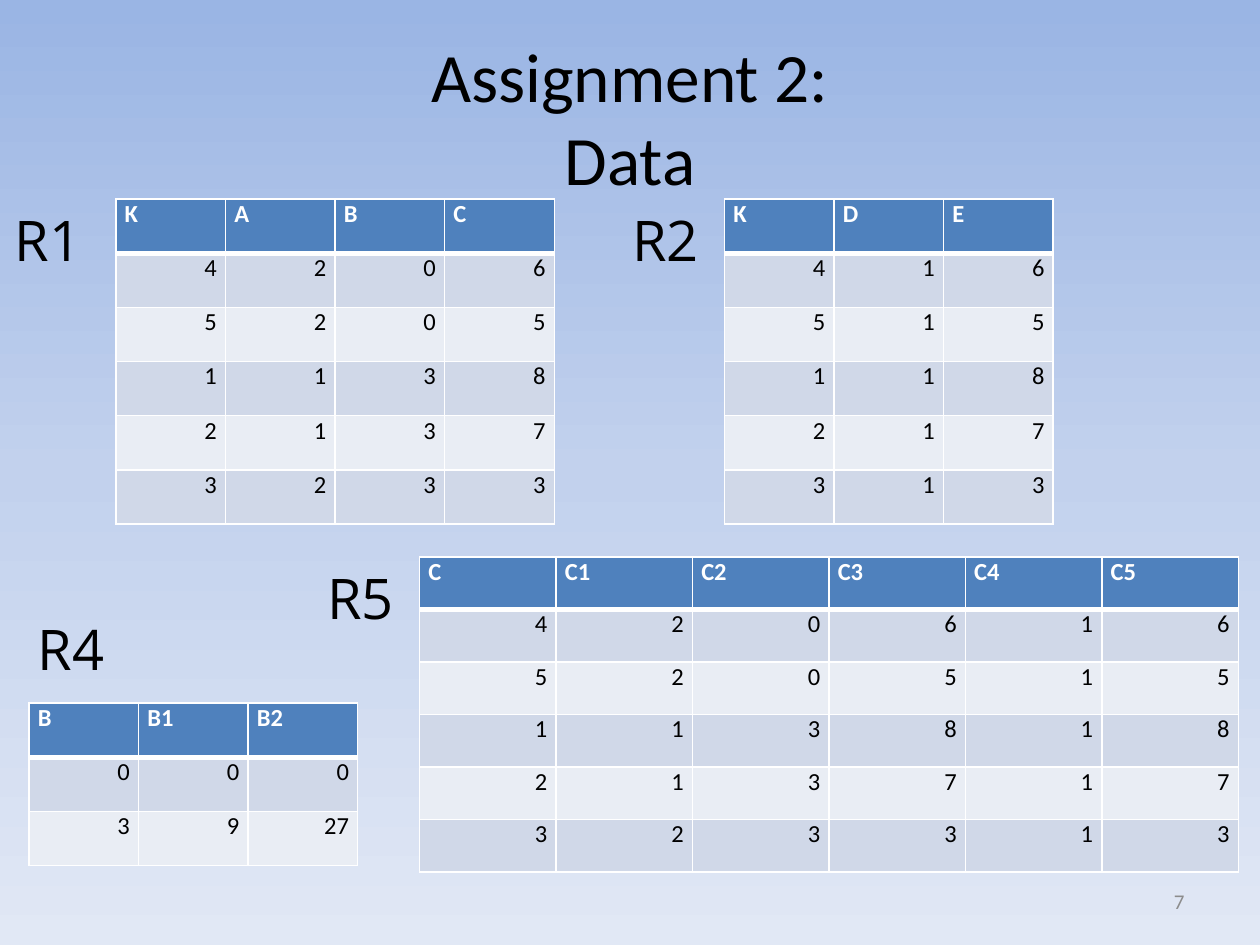
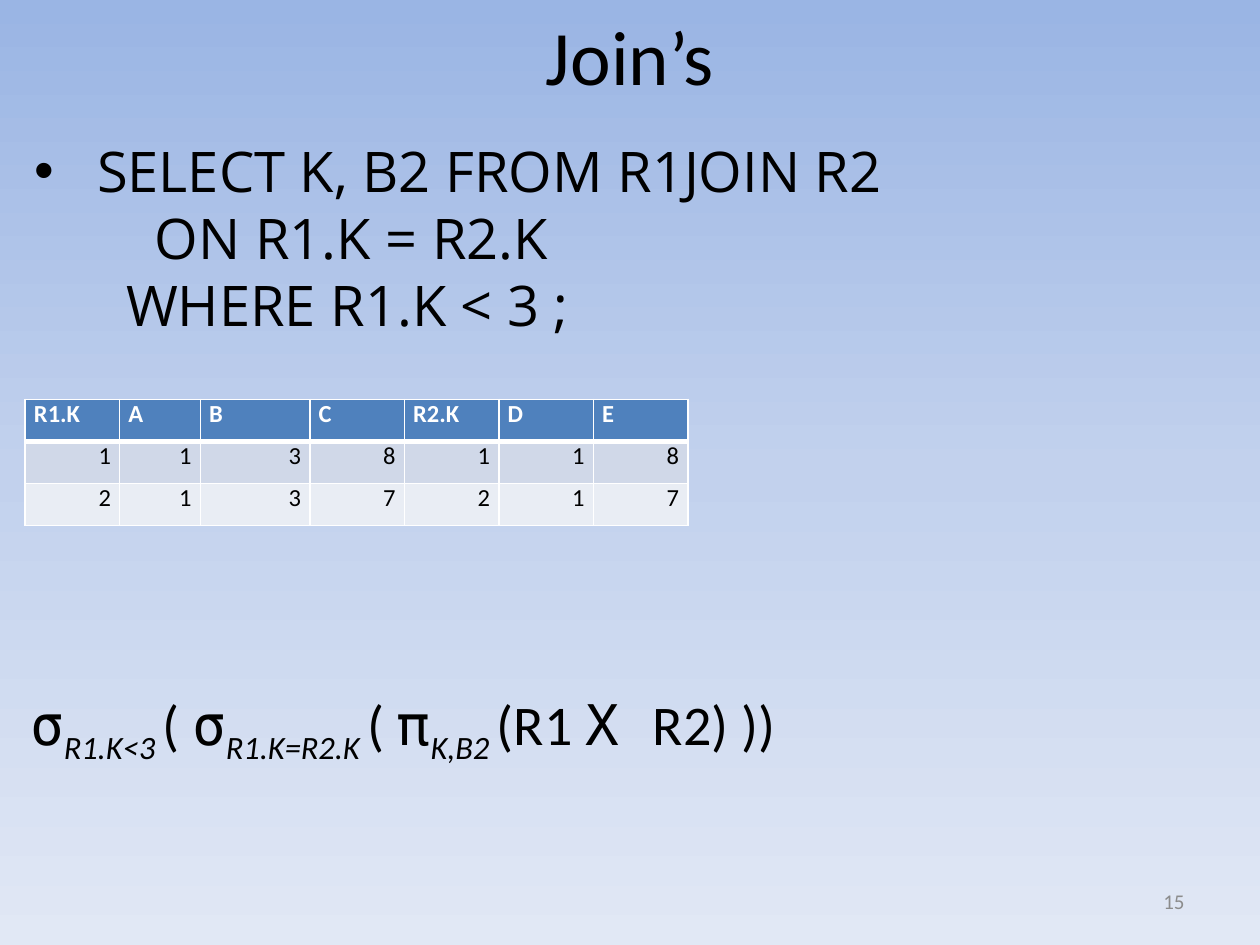
from copy import deepcopy

from lxml.etree import SubElement
from pptx import Presentation
from pptx.dml.color import RGBColor
from pptx.enum.text import MSO_ANCHOR as Anchor, MSO_AUTO_SIZE as AutoSize, PP_ALIGN as Align
from pptx.oxml.ns import qn
from pptx.util import Inches, Pt

BLACK = RGBColor(0x00, 0x00, 0x00)
WHITE = RGBColor(0xFF, 0xFF, 0xFF)
GRAY = RGBColor(0x8C, 0x8C, 0x8C)
HEADER_BLUE = RGBColor(0x4F, 0x81, 0xBD)
BANDS = RGBColor(0xE9, 0xED, 0xF4), RGBColor(0xD0, 0xD8, 0xE8)
BACKDROP = (
    (0, RGBColor(0x9A, 0xB5, 0xE4)),
    (0.5, RGBColor(0xC2, 0xD1, 0xED)),
    (1, RGBColor(0xE1, 0xE8, 0xF5)),
)
HEADING_FONT, LABEL_FONT, SYMBOL_FONT = "Calibri", "Open Sans", "DejaVu Sans Mono"
TITLE_ONLY, TITLE_AND_BODY = 5, 1


def add_span(para, text, font=HEADING_FONT, size=32, color=BLACK, bold=False,
             italic=False, baseline=0):
    """Append formatted text; baseline is a percentage, negative for subscript."""
    span = para.add_run()
    span.text = text
    span.font.name, span.font.size = font, Pt(size)
    span.font.color.rgb = color
    span.font.bold, span.font.italic = bold, italic
    if baseline:
        span.font._element.set("baseline", str(baseline * 1000))


def set_indent(para, left, hanging=0, bullet=None):
    props = para._p.get_or_add_pPr()
    props.set("marL", str(Inches(left)))
    props.set("indent", str(-Inches(hanging)))
    if bullet:
        SubElement(props, qn("a:buChar")).set("char", bullet)
    else:
        SubElement(props, qn("a:buNone"))


def set_borders(cell, top, bottom):
    """Draw white cell edges; top and bottom are widths in points."""
    props = cell._tc.get_or_add_tcPr()
    edges = (("L", 1), ("R", 1), ("T", top), ("B", bottom))
    for place, (side, width) in enumerate(edges):
        line = SubElement(props, qn(f"a:ln{side}"), w=str(Pt(width)))
        fill = SubElement(line, qn("a:solidFill"))
        SubElement(fill, qn("a:srgbClr"), val=str(WHITE))
        props.insert(place, line)


class LectureDeck:
    def __init__(self):
        self.deck = Presentation()
        self.deck.slide_width, self.deck.slide_height = Inches(10), Inches(7.5)
        self.page = None
        self.set_backdrop()

    def set_backdrop(self):
        master = self.deck.slide_master
        fill = master.background.fill
        fill.gradient()
        fill.gradient_angle = 270
        stops = master.element.find(".//" + qn("a:gsLst"))
        stops.append(deepcopy(stops[0]))
        for stop, (position, color) in zip(fill.gradient_stops, BACKDROP):
            stop.position, stop.color.rgb = position, color

    def place(self, box, left, top, width, height):
        box.left, box.top = Inches(left), Inches(top)
        box.width, box.height = Inches(width), Inches(height)

    def add_page(self, layout, title, number, top, height, size):
        self.page = self.deck.slides.add_slide(self.deck.slide_layouts[layout])
        box = self.page.shapes.title
        self.place(box, 0.5, top, 9, height)
        frame = box.text_frame
        frame.auto_size, frame.vertical_anchor = AutoSize.NONE, Anchor.MIDDLE
        para = frame.paragraphs[0]
        para.alignment = Align.CENTER
        for index, line in enumerate(title.split("\n")):
            if index:
                para.add_line_break()
            add_span(para, line, size=size)
        footer = self.add_box(7.17, 6.95, 2.33, 0.4, Anchor.MIDDLE)
        footer.alignment = Align.RIGHT
        add_span(footer, str(number), size=12, color=GRAY)

    def add_box(self, left, top, width, height=0.64, anchor=Anchor.TOP):
        """Add a text box and return its first paragraph."""
        box = self.page.shapes.add_textbox(
            Inches(left), Inches(top), Inches(width), Inches(height))
        frame = box.text_frame
        frame.word_wrap, frame.vertical_anchor = True, anchor
        return frame.paragraphs[0]

    def add_label(self, text, left, top, width=0.84):
        add_span(self.add_box(left, top, width), text, font=LABEL_FONT)

    def add_query(self, lines, left, top, width, height):
        """Fill the body placeholder; each line is (text, left, hanging, bullet)."""
        box = self.page.placeholders[1]
        self.place(box, left, top, width, height)
        frame = box.text_frame
        frame.auto_size, frame.vertical_anchor = AutoSize.NONE, Anchor.TOP
        for index, (text, *indent) in enumerate(lines):
            para = frame.add_paragraph() if index else frame.paragraphs[0]
            para.space_before = Pt(0)
            set_indent(para, *indent)
            add_span(para, text, font=LABEL_FONT)

    def add_relation(self, rows, left, top, widths, row_height):
        """Add a table whose rows are strings of values parted by spaces."""
        grid = self.page.shapes.add_table(
            len(rows), len(widths), Inches(left), Inches(top),
            Inches(sum(widths)), Inches(row_height * len(rows))).table
        for column, width in zip(grid.columns, widths):
            column.width = Inches(width)
        for row_index, row in enumerate(rows):
            grid.rows[row_index].height = Inches(row_height)
            is_header = row_index == 0
            for column_index, value in enumerate(row.split()):
                cell = grid.cell(row_index, column_index)
                cell.margin_left = cell.margin_right = Inches(0.07)
                cell.margin_top = cell.margin_bottom = 0
                cell.fill.solid()
                cell.fill.fore_color.rgb = HEADER_BLUE if is_header else BANDS[row_index % 2]
                set_borders(cell, 3 if row_index == 1 else 1, 3 if is_header else 1)
                para = cell.text_frame.paragraphs[0]
                para.alignment = Align.LEFT if is_header else Align.RIGHT
                add_span(para, value, size=14, bold=is_header,
                         color=WHITE if is_header else BLACK)

    def add_formula(self, parts, left, top, width):
        """Write (text, kind) parts, kind being symbol, sub or plain."""
        kinds = {
            "symbol": {"font": SYMBOL_FONT},
            "sub": {"italic": True, "baseline": -25},
            "plain": {},
        }
        para = self.add_box(left, top, width)
        for text, kind in parts:
            add_span(para, text, **kinds[kind])


def add_data_page(lecture):
    lecture.add_page(TITLE_ONLY, "Assignment 2:\nData", 7, top=0.17, height=1.5, size=39.6)
    lecture.add_relation(
        ["K A B C", "4 2 0 6", "5 2 0 5", "1 1 3 8", "2 1 3 7", "3 2 3 3"],
        0.92, 1.58, [0.87] * 4, 0.43)
    lecture.add_relation(
        ["C C1 C2 C3 C4 C5", "4 2 0 6 1 6", "5 2 0 5 1 5", "1 1 3 8 1 8",
         "2 1 3 7 1 7", "3 2 3 3 1 3"],
        3.33, 4.42, [6.5 / 6] * 6, 2.5 / 6)
    lecture.add_relation(
        ["K D E", "4 1 6", "5 1 5", "1 1 8", "2 1 7", "3 1 3"],
        5.75, 1.58, [0.87] * 3, 0.43)
    lecture.add_relation(["B B1 B2", "0 0 0", "3 9 27"], 0.23, 5.58, [0.87] * 3, 0.43)
    lecture.add_label("R4", 0.2, 4.83, width=1.33)
    lecture.add_label("R1", 0.02, 1.58)
    lecture.add_label("R2", 4.92, 1.58)
    lecture.add_label("R5", 2.5, 4.42)


def add_join_page(lecture):
    lecture.add_page(TITLE_AND_BODY, "Join’s", 15, top=0.02, height=0.83, size=44)
    lecture.add_query(
        [("SELECT K, B2 FROM R1JOIN R2", 0.5, 0.5, "•"),
         ("ON R1.K = R2.K", 0.96),
         ("WHERE R1.K < 3 ;", 0.73)],
        0.17, 1.03, 9.5, 1.72)
    lecture.add_relation(
        ["R1.K A B C R2.K D E", "1 1 3 8 1 1 8", "2 1 3 7 2 1 7"],
        0.2, 3.17, [0.75, 0.64, 0.87] + [0.75] * 4, 1 / 3)
    lecture.add_formula(
        [("σ", "symbol"), ("R1.K<3 ", "sub"), ("( ", "plain"),
         ("σ", "symbol"), ("R1.K=R2.K ", "sub"), ("( ", "plain"),
         ("π", "symbol"), ("K,B2 ", "sub"), ("(R1 ", "plain"),
         ("Χ ", "symbol"), ("R2) ))", "plain")],
        0.14, 5.42, 9.19)


def main():
    lecture = LectureDeck()
    add_data_page(lecture)
    add_join_page(lecture)
    lecture.deck.save("out.pptx")


if __name__ == "__main__":
    main()
